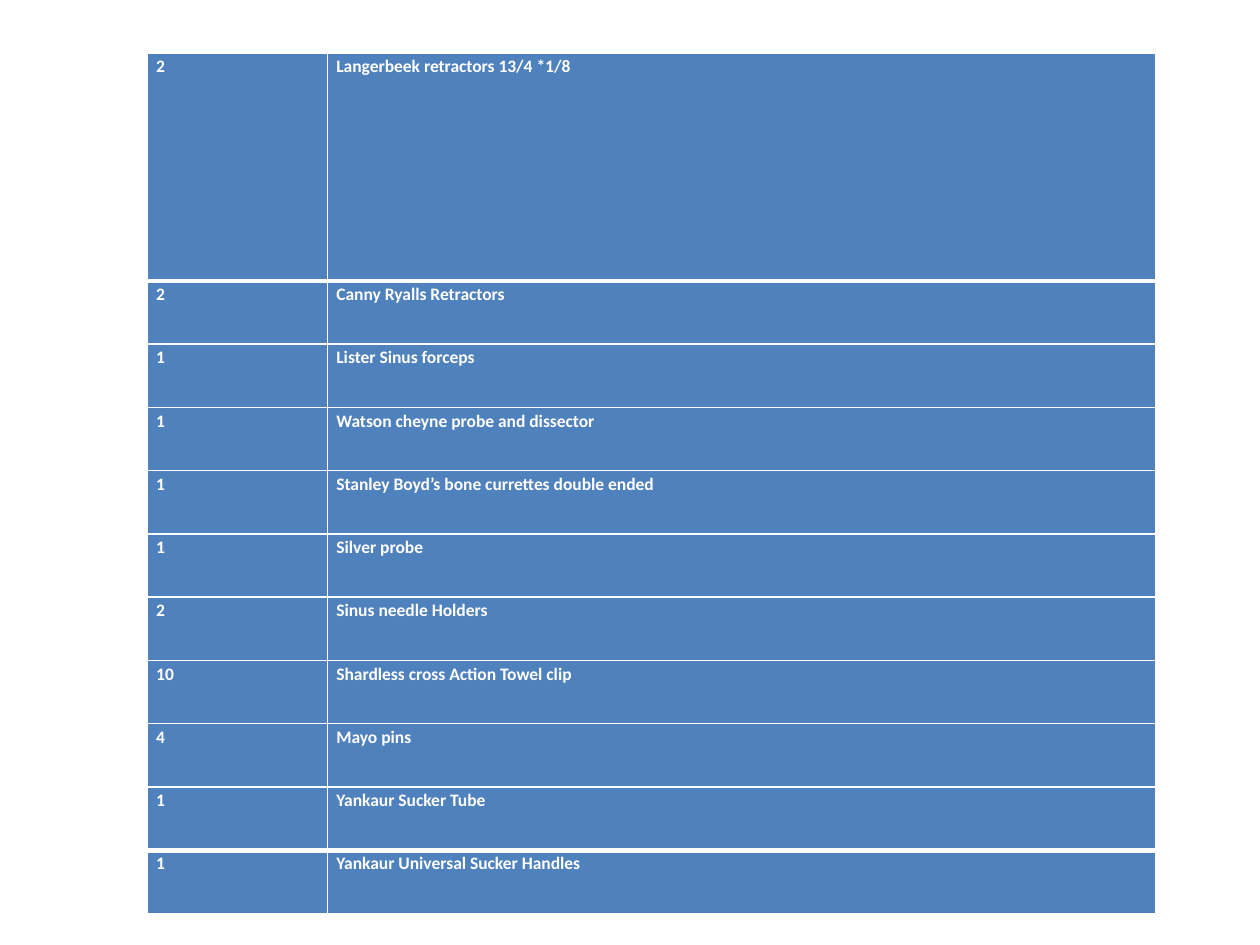
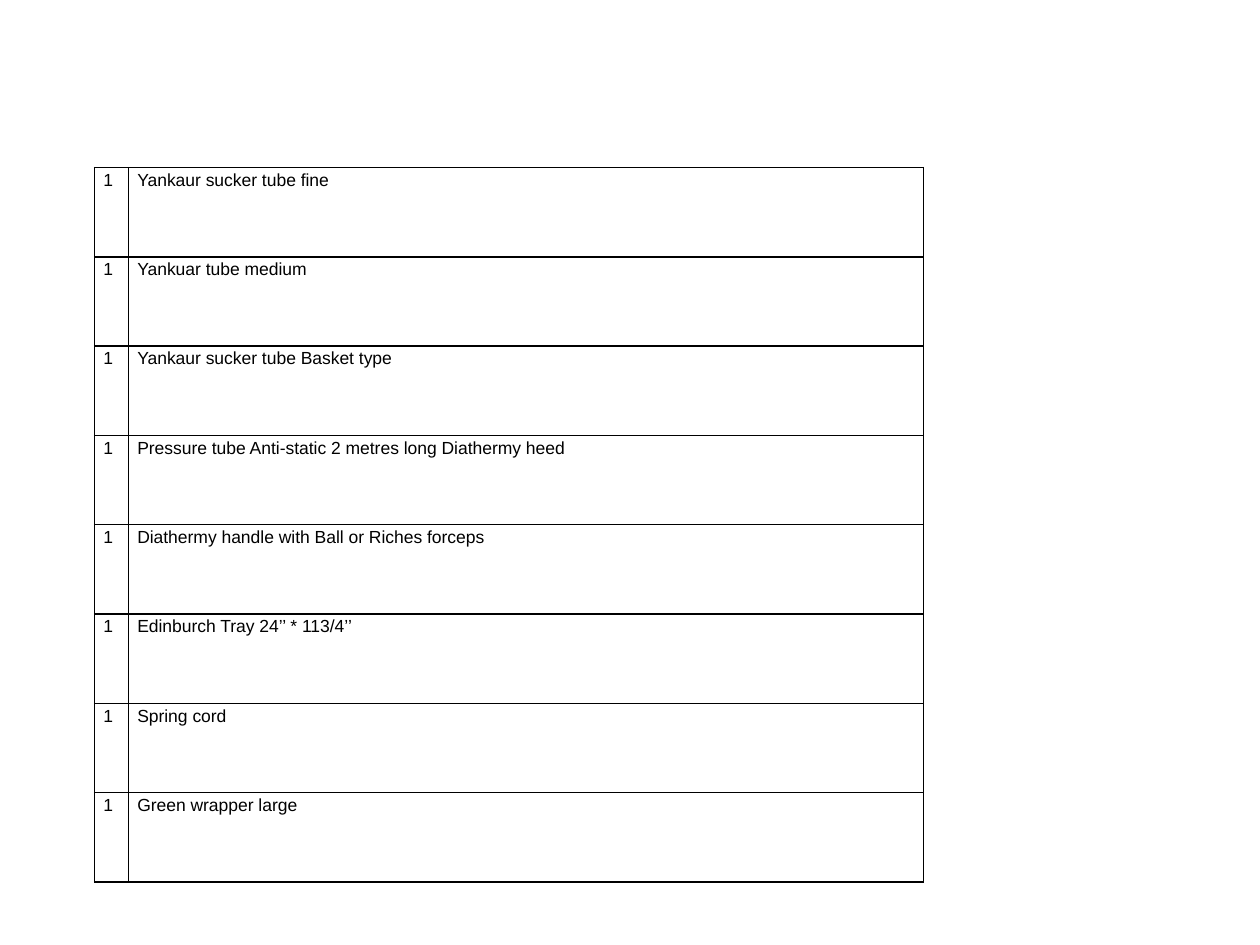
from lxml.etree import SubElement as Sub
from pptx import Presentation
from pptx.dml.color import RGBColor as RGB
from pptx.enum.text import PP_ALIGN as Align
from pptx.oxml.ns import qn
from pptx.util import Inches, Pt

HUES = {"white": "FFFFFF", "black": "000000", "blue": "4F81BD"}

TOOLS = [
    ("2", "Langerbeek retractors 13/4 *1/8"),
    ("2", "Canny Ryalls Retractors"),
    ("1", "Lister Sinus forceps"),
    ("1", "Watson cheyne probe and dissector"),
    ("1", "Stanley Boyd’s bone currettes double ended"),
    ("1", "Silver probe"),
    ("2", "Sinus needle Holders"),
    ("10", "Shardless cross Action Towel clip"),
    ("4", "Mayo pins"),
    ("1", "Yankaur Sucker Tube"),
    ("1", "Yankaur Universal Sucker Handles"),
]

EXTRAS = [
    ("1", "Yankaur sucker tube fine"),
    ("1", "Yankuar tube medium"),
    ("1", "Yankaur sucker tube Basket type"),
    ("1", "Pressure tube Anti-static 2 metres long Diathermy heed"),
    ("1", "Diathermy handle with Ball or Riches forceps"),
    ("1", "Edinburch Tray 24’’ * 113/4’’"),
    ("1", "Spring cord"),
    ("1", "Green wrapper large"),
]


def edge(cell, side, hue, width):
    """Draw one border of a cell."""
    line = Sub(cell._tc.get_or_add_tcPr(), qn(f"a:ln{side}"), w=str(Pt(width)))
    Sub(Sub(line, qn("a:solidFill")), qn("a:srgbClr"), val=HUES[hue])


def write(cell, text, face, ink, bold):
    """Put one justified line of text in a cell."""
    cell.margin_left = cell.margin_right = Inches(0.07)
    cell.margin_top = cell.margin_bottom = 0
    para = cell.text_frame.paragraphs[0]
    para.alignment, para.line_spacing = Align.JUSTIFY, 1.15
    run = para.add_run()
    run.text = text
    font = run.font
    font.name, font.size, font.bold = face, Pt(10), bold
    font.color.rgb = RGB.from_string(HUES[ink])


def grid(slide, box, first, highs, items, face, ink, rule, fill=None, bold=False, thick=()):
    """Fill a box with a count-and-item table; thick lists rows with a heavy rule below."""
    left, top, width, high = box
    frame = slide.shapes.add_table(len(items), 2, *map(Inches, box))
    table = frame.table
    table.first_row = table.horz_banding = False
    for col, size in zip(table.columns, (first, width - first)):
        col.width = Inches(size)
    for num, (row, size, texts) in enumerate(zip(table.rows, highs, items)):
        row.height = Inches(size)
        wide = {"T": 3 if num - 1 in thick else 1, "B": 3 if num in thick else 1}
        for cell, text in zip(row.cells, texts):
            write(cell, text, face, ink, bold)
            for side in "LRTB":
                edge(cell, side, rule, wide.get(side, 1))
            if fill:
                cell.fill.solid()
                cell.fill.fore_color.rgb = RGB.from_string(HUES[fill])
            else:
                cell.fill.background()


def tools(slide, box):
    """Place the blue table, whose first row is tall."""
    tall, rest = 1.81, len(TOOLS) - 1
    highs = [tall] + [(box[3] - tall) / rest] * rest
    grid(slide, box, 1.43, highs, TOOLS, "Calibri", "white", "white",
         fill="blue", bold=True, thick=(0, rest - 1))


def extras(slide, box):
    """Place the plain ruled table with equal rows."""
    count = len(EXTRAS)
    grid(slide, box, 0.27, [box[3] / count] * count, EXTRAS, "Arial", "black", "black")


def main():
    """Build both slides and save them."""
    deck = Presentation()
    deck.slide_width, deck.slide_height = Inches(10), Inches(7.5)
    blank = deck.slide_layouts[6]
    tools(deck.slides.add_slide(blank), (1.17, 0.42, 8, 6.83))
    extras(deck.slides.add_slide(blank), (0.75, 1.33, 6.58, 5.67))
    deck.save("out.pptx")


if __name__ == "__main__":
    main()
